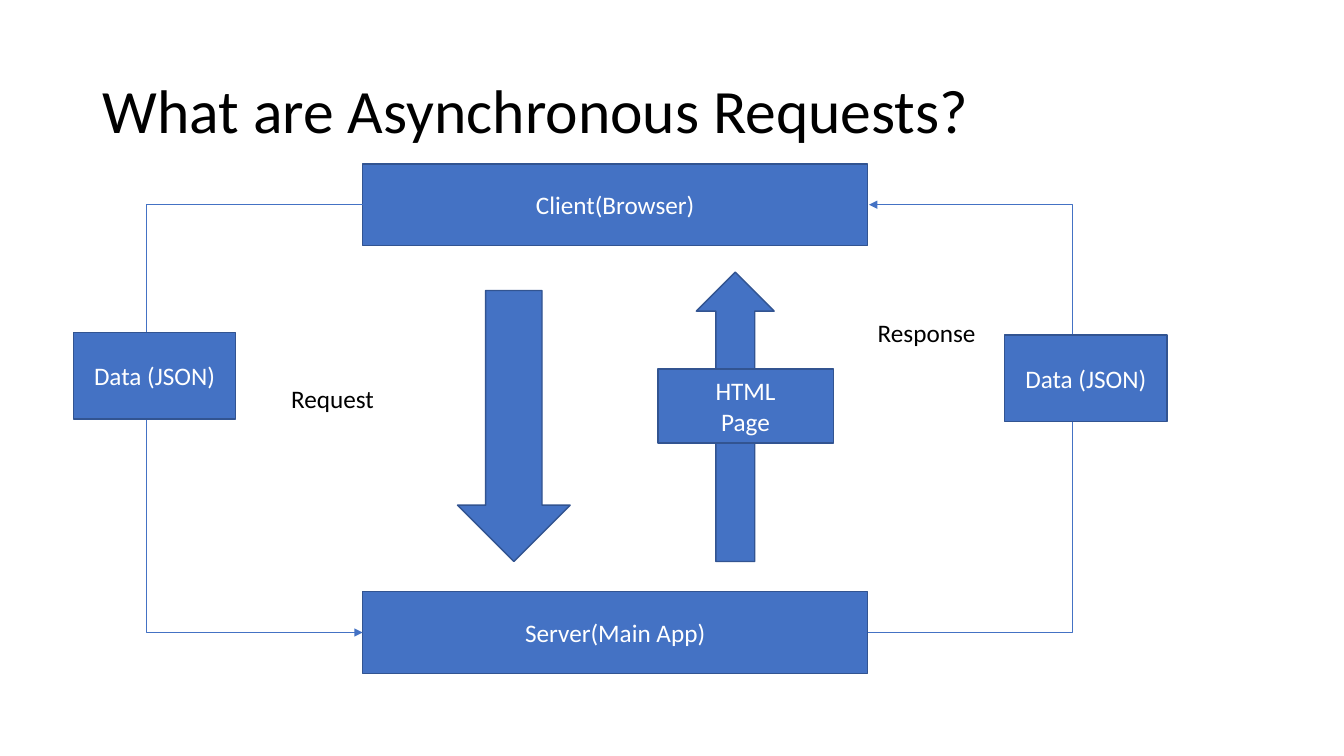
from pptx import Presentation
from pptx.dml.color import RGBColor
from pptx.enum import shapes, text
from pptx.oxml.ns import qn
from pptx.util import Cm, Pt
from lxml import etree

HUES = {"fill": "4472C4", "edge": "325491", "ink": "000000", "light": "FFFFFF"}
FONT = "Calibri"
KIND = shapes.MSO_SHAPE


def hue(name):
    return RGBColor.from_string(HUES[name])


def write(frame, lines, size, color, align, anchor):
    frame.vertical_anchor = anchor
    for i, line in enumerate(lines):
        para = frame.paragraphs[0] if i == 0 else frame.add_paragraph()
        para.alignment = align
        run = para.add_run()
        run.text = line
        run.font.name = FONT
        run.font.size = Pt(size)
        run.font.color.rgb = hue(color)


def block(slide, kind, x, y, w, h, *lines):
    shape = slide.shapes.add_shape(kind, Cm(x), Cm(y), Cm(w), Cm(h))
    shape.shadow.inherit = False
    shape.fill.solid()
    shape.fill.fore_color.rgb = hue("fill")
    shape.line.color.rgb = hue("edge")
    shape.line.width = Pt(1)
    write(shape.text_frame, lines, 18, "light",
          text.PP_ALIGN.CENTER, text.MSO_ANCHOR.MIDDLE)


def label(slide, x, y, w, h, line, size=18, wrap=False):
    frame = slide.shapes.add_textbox(Cm(x), Cm(y), Cm(w), Cm(h)).text_frame
    frame.word_wrap = wrap
    anchor = text.MSO_ANCHOR.MIDDLE if wrap else text.MSO_ANCHOR.TOP
    write(frame, [line], size, "ink", text.PP_ALIGN.LEFT, anchor)
    return frame


def link(slide, start, end, bend):
    (x1, y1), (x2, y2) = start, end
    line = slide.shapes.add_connector(
        shapes.MSO_CONNECTOR.ELBOW, Cm(x1), Cm(y1), Cm(x2), Cm(y2))
    line.line.color.rgb = hue("fill")
    line.line.width = Pt(0.5)
    props = line._element.spPr
    guides = props.find(qn("a:prstGeom")).get_or_add_avLst()
    ratio = round((bend - x1) / (x2 - x1) * 100000)
    etree.SubElement(guides, qn("a:gd"), name="adj1", fmla=f"val {ratio}")
    etree.SubElement(props.find(qn("a:ln")), qn("a:tailEnd"), type="triangle")
    etree.SubElement(props, qn("a:effectLst"))


def main():
    deck = Presentation()
    deck.slide_width, deck.slide_height = Cm(33.87), Cm(19.05)
    slide = deck.slides.add_slide(deck.slide_layouts[6])

    title = label(slide, 2.34, 1.02, 29.21, 3.68,
                  "What are Asynchronous Requests?", 44, True)
    title.paragraphs[0].line_spacing = 0.9

    left, wide, tall = 9.14, 12.73, 2.06
    client, server = 4.13, 14.91
    for y, name in ((client, "Client(Browser)"), (server, "Server(Main App)")):
        block(slide, KIND.RECTANGLE, left, y, wide, tall, name)

    block(slide, KIND.DOWN_ARROW, 11.53, 7.32, 2.84, 6.83)
    label(slide, 7.09, 9.53, 2.62, 1.02, "Request")
    block(slide, KIND.UP_ARROW, 17.55, 6.86, 1.96, 7.29)
    label(slide, 21.87, 7.86, 3, 1.02, "Response")
    block(slide, KIND.RECTANGLE, 16.58, 9.3, 4.42, 1.86, "HTML", "Page")

    right, gap = left + wide, 0.03
    top, base = client + tall / 2, server + tall / 2
    link(slide, (left + gap, top), (left, base), 3.7)
    link(slide, (right, base), (right + gap, top), 27.03)
    for x, y in ((1.85, 8.38), (25.32, 8.44)):
        block(slide, KIND.RECTANGLE, x, y, 4.09, 2.18, "Data (JSON)")

    deck.save("out.pptx")


main()
